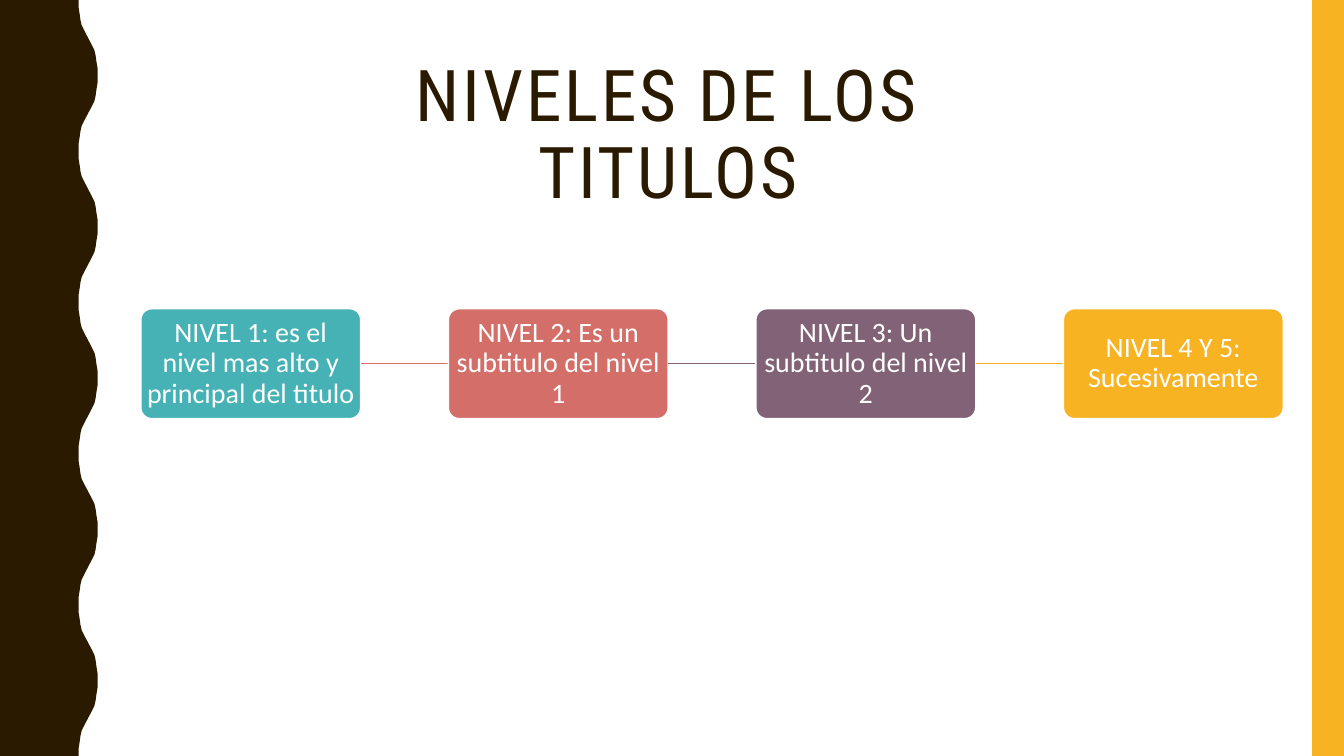
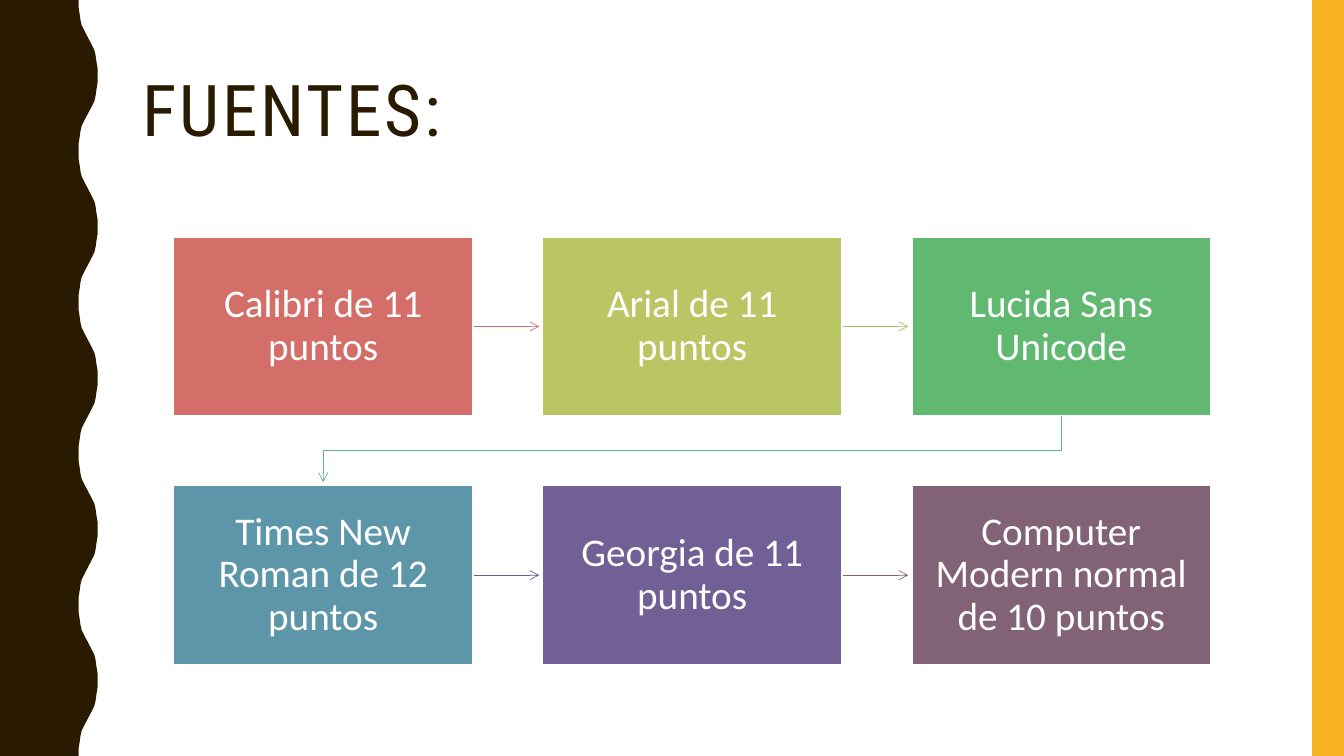
from dataclasses import dataclass

from lxml.etree import SubElement
from pptx import Presentation
from pptx.dml.color import RGBColor
from pptx.enum.shapes import MSO_CONNECTOR as Connector, MSO_SHAPE as Preset
from pptx.enum.text import MSO_ANCHOR as Anchor, MSO_AUTO_SIZE as AutoSize, PP_ALIGN as Align
from pptx.oxml.ns import qn
from pptx.util import Cm, Pt


@dataclass(frozen=True)
class Theme:
    dark: str = "2A1A00"
    gold: str = "F8B323"
    white: str = "FFFFFF"
    teal: str = "46B2B5"
    coral: str = "D36F68"
    plum: str = "826276"
    lime: str = "BAC663"
    leaf: str = "9DC362"
    green: str = "60B871"
    mint: str = "5FB19A"
    blue: str = "5E96A9"
    indigo: str = "615F9B"
    violet: str = "715F96"
    title_font: str = "Roboto Condensed"
    body_font: str = "Calibri"
    title_size: int = 51
    level_size: int = 20
    source_size: int = 28


THEME = Theme()
WIDTH, HEIGHT = 33.87, 19.05
WAVE_HALVES = 10
WAVE_SUM = 4.44
WAVE_QUARTER = [(1.98, 0), (1.98, 0.18), (2.01, 0.36), (2.03, 0.51),
                (2.06, 0.64), (2.11, 0.74), (2.16, 0.84), (2.22, 0.95)]

LEVELS = [
    ("NIVEL 1: es el nivel mas alto y principal del titulo", THEME.teal, THEME.coral),
    ("NIVEL 2: Es un subtitulo del nivel 1", THEME.coral, THEME.plum),
    ("NIVEL 3: Un subtitulo del nivel 2", THEME.plum, THEME.gold),
    ("NIVEL 4 Y 5: Sucesivamente", THEME.gold, None),
]
SOURCES = [
    ("Calibri de 11 puntos", THEME.coral, THEME.coral),
    ("Arial de 11 puntos", THEME.lime, THEME.leaf),
    ("Lucida Sans Unicode", THEME.green, THEME.mint),
    ("Times New Roman de 12 puntos", THEME.blue, THEME.indigo),
    ("Georgia de 11 puntos", THEME.violet, THEME.plum),
    ("Computer Modern normal de 10 puntos", THEME.plum, None),
]


def apply(target, values):
    for name, value in values.items():
        setattr(target, name, value)


def paint(shape, color, outline=None):
    shape.shadow.inherit = False
    shape.fill.solid()
    shape.fill.fore_color.rgb = RGBColor.from_string(color)
    if outline:
        shape.line.color.rgb = RGBColor.from_string(outline)
        shape.line.width = Pt(1)
    else:
        shape.line.fill.background()


def write(frame, text, font, color, align, frame_format):
    apply(frame, {"word_wrap": True, "auto_size": AutoSize.NONE, **frame_format})
    paragraph = frame.paragraphs[0]
    apply(paragraph, {"alignment": align, "line_spacing": 0.9})
    run = paragraph.add_run()
    run.text = text
    apply(run.font, font)
    run.font.color.rgb = RGBColor.from_string(color)
    return run


def add_title(slide, text, box, align):
    title = slide.shapes.title
    apply(title, dict(zip(("left", "top", "width", "height"), map(Cm, box))))
    font = {"name": THEME.title_font, "size": Pt(THEME.title_size)}
    run = write(title.text_frame, text, font, THEME.dark, align,
                {"vertical_anchor": Anchor.TOP})
    run.font.language_id = None
    run.font._element.set("spc", "200")


def add_box(slide, preset, box, text, color, size, margin):
    shape = slide.shapes.add_shape(preset, *map(Cm, box))
    if preset == Preset.ROUNDED_RECTANGLE:
        shape.adjustments[0] = 0.1
    paint(shape, color, THEME.white)
    sides = ("margin_left", "margin_right", "margin_top", "margin_bottom")
    write(shape.text_frame, text, {"name": THEME.body_font, "size": Pt(size)},
          THEME.white, Align.CENTER,
          {"vertical_anchor": Anchor.MIDDLE, **dict.fromkeys(sides, Cm(margin))})


def style_line(shape, color, width, arrow):
    shape.line.color.rgb = RGBColor.from_string(color)
    shape.line.width = Pt(width)
    properties = shape._element.spPr
    if arrow:
        SubElement(properties.find(qn("a:ln")), qn("a:tailEnd"), type="arrow")
    SubElement(properties, qn("a:effectLst"))


def add_line(slide, start, end, color, width, arrow=False):
    line = slide.shapes.add_connector(Connector.STRAIGHT, *map(Cm, start + end))
    style_line(line, color, width, arrow)


def draw_outline(slide, points, close):
    points = [(Cm(x), Cm(y)) for x, y in points]
    builder = slide.shapes.build_freeform(*points[0], scale=1.0)
    builder.add_line_segments(points[1:], close=close)
    return builder.convert_to_shape()


def add_bent_arrow(slide, points, color, width):
    arrow = draw_outline(slide, points, close=False)
    arrow.fill.background()
    style_line(arrow, color, width, arrow=True)


def wave_points():
    step = HEIGHT / WAVE_HALVES
    half = WAVE_QUARTER + [(WAVE_SUM - x, step - y) for x, y in reversed(WAVE_QUARTER)]
    edge = [(WAVE_SUM - x if index % 2 else x, index * step + y)
            for index in range(WAVE_HALVES) for x, y in half]
    return [(0, 0), *edge, (0, HEIGHT)]


def add_bands(layout, slide):
    wave = draw_outline(slide, wave_points(), close=True)
    stripe = slide.shapes.add_shape(Preset.RECTANGLE, Cm(33.07), 0, Cm(0.8), Cm(HEIGHT))
    for position, (band, color) in enumerate(((wave, THEME.dark), (stripe, THEME.gold))):
        paint(band, color)
        layout.shapes.element.insert(2 + position, band._element)


def build_levels(slide):
    add_title(slide, "NIVELES DE LOS TITULOS", (7.16, 1.37, 19.35, 2.54), Align.CENTER)
    left, top, width, height, pitch = 3.55, 7.78, 5.54, 2.77, 7.75
    middle = top + height / 2
    for index, (text, color, line_color) in enumerate(LEVELS):
        x = left + index * pitch
        add_box(slide, Preset.ROUNDED_RECTANGLE, (x, top, width, height),
                text, color, THEME.level_size, 0.03)
        if line_color:
            add_line(slide, (x + width, middle), (x + pitch, middle), line_color, 1)


def build_sources(slide):
    add_title(slide, "FUENTES:", (3.33, 1.75, 29.21, 3.68), Align.LEFT)
    left, top, width, height = 4.38, 5.97, 7.53, 4.51
    pitch, row_pitch, columns, gap = 9.3, 6.27, 3, 0.09
    for index, (text, color, line_color) in enumerate(SOURCES):
        row, column = divmod(index, columns)
        x, y = left + column * pitch, top + row * row_pitch
        add_box(slide, Preset.RECTANGLE, (x, y, width, height),
                text, color, THEME.source_size, 0.56)
        if not line_color:
            continue
        if column < columns - 1:
            middle = y + height / 2
            add_line(slide, (x + width + 0.03, middle), (x + pitch - gap, middle),
                     line_color, 0.5, arrow=True)
        else:
            start, end = x + width / 2, left + width / 2
            turn = y + (height + row_pitch) / 2
            add_bent_arrow(slide, [(start, y + height), (start, turn), (end, turn),
                                   (end, y + row_pitch - gap)], line_color, 0.5)


def main():
    presentation = Presentation()
    apply(presentation, {"slide_width": Cm(WIDTH), "slide_height": Cm(HEIGHT)})
    layout = presentation.slide_layouts.get_by_name("Title Only")
    slides = [presentation.slides.add_slide(layout) for _ in range(2)]
    add_bands(layout, slides[0])
    for build, slide in zip((build_levels, build_sources), slides):
        build(slide)
    presentation.save("out.pptx")


main()
